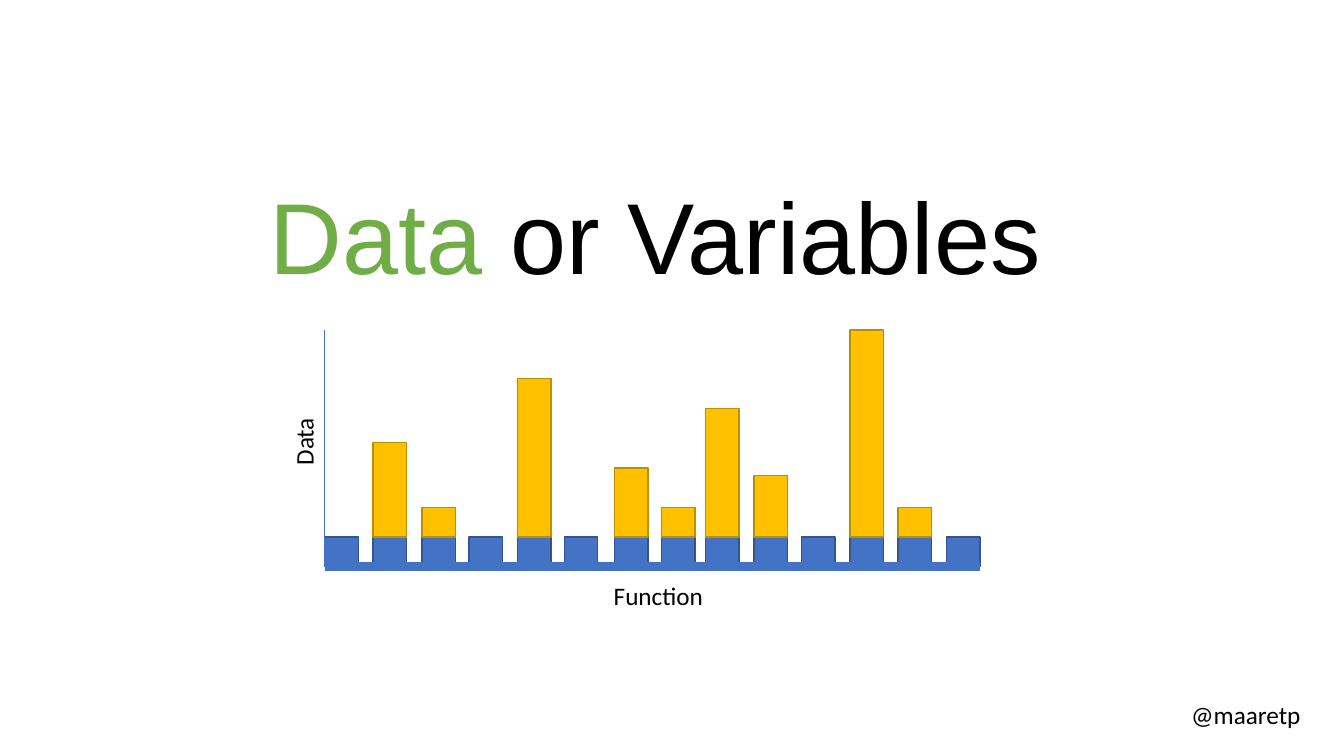
from lxml import etree
from pptx import Presentation
from pptx.dml.color import RGBColor
from pptx.enum.shapes import MSO_CONNECTOR, MSO_SHAPE
from pptx.enum.text import MSO_ANCHOR, MSO_AUTO_SIZE, PP_ALIGN
from pptx.oxml.ns import qn
from pptx.util import Pt

RECTANGLE, STRAIGHT = MSO_SHAPE.RECTANGLE, MSO_CONNECTOR.STRAIGHT
TOP, CENTER, NO_AUTOFIT = MSO_ANCHOR.TOP, PP_ALIGN.CENTER, MSO_AUTO_SIZE.NONE

# Content
TITLE_RUNS = [("Data", "70AD47"), (" or Variables", "000000")]
LABELS = [  # text, left, top, width, height, rotation
    ("@maaretp", 843.8, 496, 98, 29, 0),
    ("Function", 431.3, 411, 78.5, 29, 0),
    ("Data", 192.2, 300.2, 49.7, 29, 270),
]
BARS = [  # left edge, height of the data part
    (232, 0), (266.5, 67.5), (301.5, 21), (335, 0), (369.5, 113.5),
    (403, 0), (439, 49.5), (472.5, 21), (504, 92), (538.5, 44),
    (572.5, 0), (607, 148), (641.5, 21), (676, 0),
]

# Chart geometry and colours
BAR_WIDTH, FUNCTION_HEIGHT = 24, 21
FUNCTION_TOP = 383.7
AXIS_LEFT, AXIS_RIGHT, AXIS_TOP, AXIS_BOTTOM = 232, 699.8, 235.5, 404.6
FUNCTION_FILL, FUNCTION_LINE = "4472C4", "325491"
DATA_FILL, DATA_LINE = "FFC000", "BD8E00"


def color(hex_code):
    return RGBColor.from_string(hex_code)


def add_bar(slide, left, top, height, fill, line):
    shape = slide.shapes.add_shape(
        RECTANGLE, Pt(left), Pt(top), Pt(BAR_WIDTH), Pt(height))
    shape.shadow.inherit = False
    shape.fill.solid()
    shape.fill.fore_color.rgb = color(fill)
    shape.line.color.rgb = color(line)
    shape.line.width = Pt(1)


def add_axis(slide, end_x, end_y, width):
    axis = slide.shapes.add_connector(
        STRAIGHT, Pt(AXIS_LEFT), Pt(AXIS_BOTTOM), Pt(end_x), Pt(end_y))
    axis.line.color.rgb = color(FUNCTION_FILL)
    axis.line.width = Pt(width)
    properties = axis._element.find(qn("p:spPr"))
    etree.SubElement(properties, qn("a:effectLst"))


def add_label(slide, text, left, top, width, height, rotation):
    box = slide.shapes.add_textbox(Pt(left), Pt(top), Pt(width), Pt(height))
    box.rotation = rotation
    box.text_frame.word_wrap = False
    paragraph = box.text_frame.paragraphs[0]
    paragraph.text = text
    paragraph.font.name = "Calibri"
    paragraph.font.size = Pt(18)
    paragraph.font.color.rgb = color("000000")


def add_title(slide):
    title = slide.shapes.title
    title.left, title.top, title.width, title.height = (
        Pt(162.7), Pt(114.5), Pt(610.6), Pt(181.4))
    frame = title.text_frame
    frame.word_wrap = True
    frame.auto_size = NO_AUTOFIT
    frame.vertical_anchor = TOP
    frame.margin_top = Pt(9.7)
    paragraph = frame.paragraphs[0]
    paragraph.alignment = CENTER
    paragraph.font.name = "Arial"
    paragraph.font.size = Pt(72)
    for text, hex_code in TITLE_RUNS:
        run = paragraph.add_run()
        run.text = text
        run.font.color.rgb = color(hex_code)


def main():
    presentation = Presentation()
    presentation.slide_width, presentation.slide_height = Pt(960), Pt(540)
    slide = presentation.slides.add_slide(presentation.slide_layouts[5])
    add_title(slide)

    # Function bars, then the axes over them
    for left, _ in BARS:
        add_bar(slide, left, FUNCTION_TOP, FUNCTION_HEIGHT,
                FUNCTION_FILL, FUNCTION_LINE)
    add_axis(slide, AXIS_RIGHT, AXIS_BOTTOM, 6)
    add_axis(slide, AXIS_LEFT, AXIS_TOP, 0.5)

    # Data bars stand on the function bars
    for left, height in BARS:
        if height:
            add_bar(slide, left, FUNCTION_TOP - height, height,
                    DATA_FILL, DATA_LINE)

    for label in LABELS:
        add_label(slide, *label)
    presentation.save("out.pptx")


if __name__ == "__main__":
    main()
